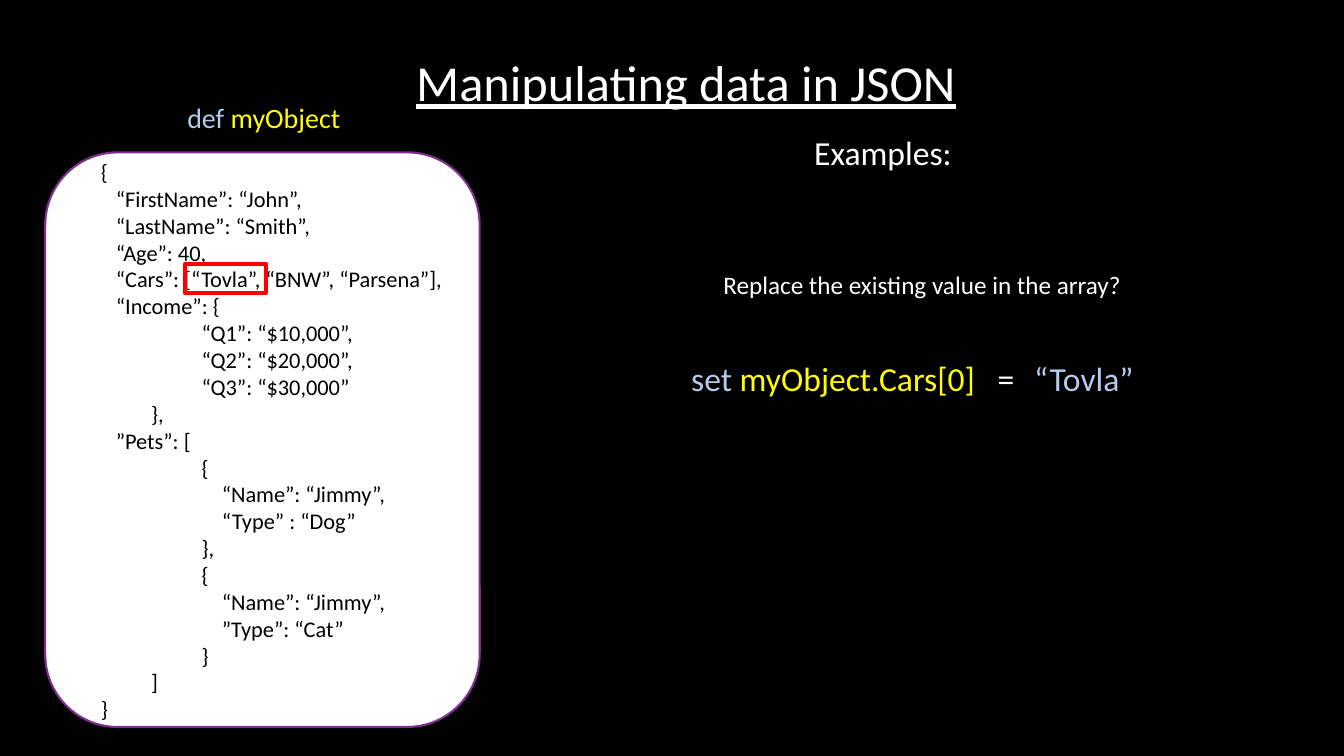
import dataclasses

import lxml.etree
import pptx
import pptx.dml.color
import pptx.enum.shapes
import pptx.enum.text
import pptx.oxml.ns
import pptx.util

Cm = pptx.util.Cm
Pt = pptx.util.Pt

FONT = "Calibri"
BLACK, WHITE, RED = "000000", "FFFFFF", "FF0000"
PURPLE, PALE_BLUE, YELLOW = "7F2E8F", "B5CAED", "FFFF00"


@dataclasses.dataclass
class Box:
    left: float
    top: float
    width: float
    height: float

    def lengths(self) -> list:
        return [Cm(side) for side in (self.left, self.top, self.width, self.height)]


@dataclasses.dataclass
class Piece:
    text: str
    color: str


@dataclasses.dataclass
class Line:
    pieces: list[Piece]
    indent: float = 0
    tab: float = 0


@dataclasses.dataclass
class Label:
    box: Box
    size: int
    lines: list[Line]
    underline: bool = False
    wrap: bool = False


@dataclasses.dataclass
class Panel:
    box: Box
    kind: pptx.enum.shapes.MSO_SHAPE
    fill: str | None
    outline: str
    weight: float


# Indents of the JSON listing, in centimetres
KEY, CLOSE, ITEM, FIELD = 0.38, 1.27, 2.54, 3.05
LISTING = [
    (0, "{"),
    (KEY, "“FirstName”: “John”,"),
    (KEY, "“LastName”: “Smith”,"),
    (KEY, "“Age”: 40,"),
    (KEY, "“Cars”: [“Tovla”, “BNW”, “Parsena”],"),
    (KEY, "“Income”: {"),
    (ITEM, "“Q1”: “$10,000”,"),
    (ITEM, "“Q2”: “$20,000”,"),
    (ITEM, "“Q3”: “$30,000”"),
    (CLOSE, "},"),
    (KEY, "”Pets”: ["),
    (ITEM, "{"),
    (FIELD, "“Name”: “Jimmy”,"),
    (FIELD, "“Type” : “Dog”"),
    (ITEM, "},"),
    (ITEM, "{"),
    (FIELD, "“Name”: “Jimmy”,"),
    (FIELD, "”Type”: “Cat”"),
    (ITEM, "}"),
    (CLOSE, "]"),
    (0, "}"),
]

TITLE = Label(Box(10.24, 1.17, 14.25, 1.8), 36,
              [Line([Piece("Manipulating data in JSON", WHITE)])], underline=True)
CODE_PANEL = Panel(Box(1.14, 3.84, 10.95, 14.48),
                   pptx.enum.shapes.MSO_SHAPE.ROUNDED_RECTANGLE, WHITE, PURPLE, 1.5)
CODE = Label(Box(2.29, 3.86, 9.3, 14.63), 16,
             [Line([Piece(text, BLACK)], indent) for indent, text in LISTING], wrap=True)
NOTES = [
    Label(Box(20.27, 3.2, 4.01, 1.27), 24, [Line([Piece("Examples:", WHITE)])]),
    Label(Box(17.17, 8.89, 10.74, 1.27), 24,
          [Line([Piece("set ", PALE_BLUE), Piece("myObject.Cars[0]", YELLOW),
                 Piece("\t=", WHITE)], tab=7.72)], wrap=True),
    Label(Box(4.47, 2.41, 4.57, 1.12), 20,
          [Line([Piece("def ", PALE_BLUE), Piece("myObject", YELLOW)])]),
    Label(Box(25.81, 8.89, 3.6, 1.27), 24,
          [Line([Piece("“Tovla”", PALE_BLUE)])], wrap=True),
    Label(Box(17.98, 6.65, 10.67, 1.02), 18,
          [Line([Piece("Replace the existing value in the array?", WHITE)])]),
]
HIGHLIGHT = Panel(Box(4.67, 6.65, 2.03, 0.74),
                  pptx.enum.shapes.MSO_SHAPE.RECTANGLE, None, RED, 3)


def rgb(color: str) -> pptx.dml.color.RGBColor:
    return pptx.dml.color.RGBColor.from_string(color)


def apply_format(target, values: dict) -> None:
    for name, value in values.items():
        setattr(target, name, value)


def set_indents(paragraph, line: Line) -> None:
    """Set the left margin and the tab stop of a paragraph."""
    properties = paragraph._p.get_or_add_pPr()
    properties.set("marL", str(Cm(line.indent)))
    if line.tab:
        tabs = lxml.etree.SubElement(properties, pptx.oxml.ns.qn("a:tabLst"))
        lxml.etree.SubElement(tabs, pptx.oxml.ns.qn("a:tab"),
                              pos=str(Cm(line.tab)), algn="l")


def draw_label(shapes, label: Label) -> None:
    frame = shapes.add_textbox(*label.box.lengths()).text_frame
    apply_format(frame, {
        "word_wrap": label.wrap,
        "auto_size": pptx.enum.text.MSO_AUTO_SIZE.SHAPE_TO_FIT_TEXT,
    })
    for number, line in enumerate(label.lines):
        paragraph = frame.add_paragraph() if number else frame.paragraphs[0]
        set_indents(paragraph, line)
        for piece in line.pieces:
            run = paragraph.add_run()
            run.text = piece.text
            apply_format(run.font, {"name": FONT, "size": Pt(label.size),
                                    "underline": label.underline})
            run.font.color.rgb = rgb(piece.color)


def draw_panel(shapes, panel: Panel) -> None:
    shape = shapes.add_shape(panel.kind, *panel.box.lengths())
    shape.shadow.inherit = False
    if panel.fill:
        shape.fill.solid()
        shape.fill.fore_color.rgb = rgb(panel.fill)
    else:
        shape.fill.background()
    shape.line.color.rgb = rgb(panel.outline)
    shape.line.width = Pt(panel.weight)


def main() -> None:
    presentation = pptx.Presentation()
    apply_format(presentation, {"slide_width": Cm(33.87), "slide_height": Cm(19.05)})
    slide = presentation.slides.add_slide(presentation.slide_layouts[6])
    slide.background.fill.solid()
    slide.background.fill.fore_color.rgb = rgb(BLACK)

    draw_label(slide.shapes, TITLE)
    code_group = slide.shapes.add_group_shape()
    draw_panel(code_group.shapes, CODE_PANEL)
    draw_label(code_group.shapes, CODE)
    for note in NOTES:
        draw_label(slide.shapes, note)
    draw_panel(slide.shapes, HIGHLIGHT)

    presentation.save("out.pptx")


if __name__ == "__main__":
    main()
